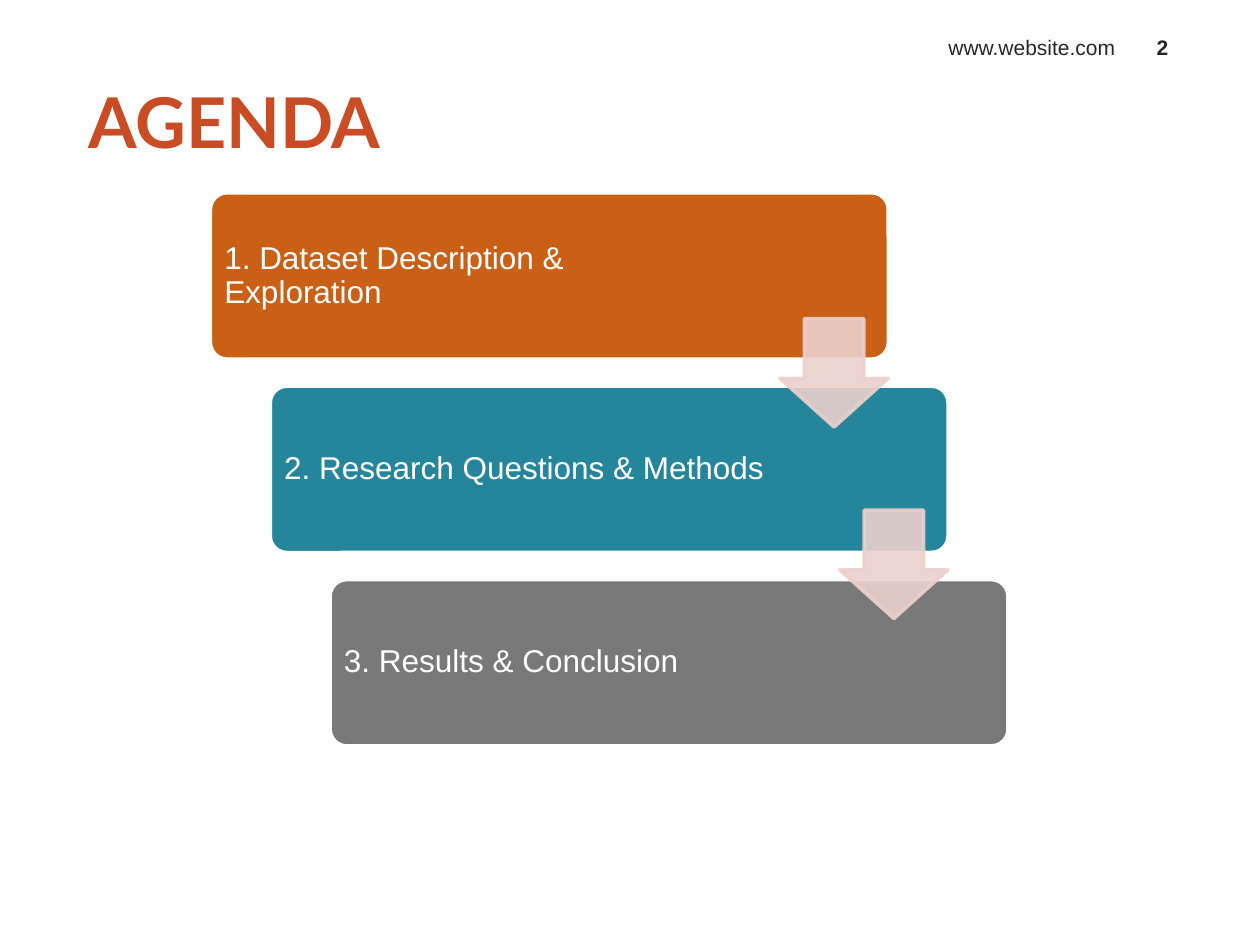
import pptx
import pptx.dml.color
import pptx.enum.shapes
import pptx.enum.text
import pptx.oxml.ns
import pptx.util
from lxml import etree
from pptx.util import Inches

RGBColor = pptx.dml.color.RGBColor
MSO_SHAPE = pptx.enum.shapes.MSO_SHAPE
MSO_ANCHOR = pptx.enum.text.MSO_ANCHOR
PP_ALIGN = pptx.enum.text.PP_ALIGN
qn = pptx.oxml.ns.qn

WHITE = RGBColor(0xFF, 0xFF, 0xFF)
DARK = RGBColor(0x26, 0x26, 0x26)
RED = RGBColor(0xC9, 0x4C, 0x25)
ORANGE = RGBColor(0xC9, 0x60, 0x16)
TEAL = RGBColor(0x25, 0x86, 0x9B)
GRAY = RGBColor(0x79, 0x79, 0x79)
PINK = RGBColor(0xEB, 0xD0, 0xCD)

STEPS = [
    ("1. Dataset Description & Exploration", ORANGE),
    ("2. Research Questions & Methods", TEAL),
    ("3. Results & Conclusion", GRAY),
]
STEP_X, STEP_Y = 0.475, 1.535


def add_block(kind, left, top, width, height, fill, line, adjustments):
    sp = s.shapes.add_shape(kind, Inches(left), Inches(top), Inches(width), Inches(height))
    sp.shadow.inherit = False
    sp.fill.solid()
    sp.fill.fore_color.rgb = fill
    sp.line.color.rgb = line
    sp.line.width = pptx.util.Pt(2)
    for i, value in enumerate(adjustments):
        sp.adjustments[i] = value
    return sp


def add_text(text, left, top, width, height, size, color, anchor):
    sp = s.shapes.add_textbox(Inches(left), Inches(top), Inches(width), Inches(height))
    tf = sp.text_frame
    tf.word_wrap = True
    tf.vertical_anchor = anchor
    p = tf.paragraphs[0]
    p.text = text
    p.font.name = "Arial"
    p.font.size = pptx.util.Pt(size)
    p.font.color.rgb = color
    return tf


prs = pptx.Presentation()
prs.slide_width = Inches(10)
prs.slide_height = Inches(7.5)
s = prs.slides.add_slide(prs.slide_layouts[5])

# Title
title = s.shapes.title
title.left, title.top = Inches(0.5), Inches(0.52)
title.width, title.height = Inches(5.2), Inches(0.87)
tf = title.text_frame
tf.auto_size = pptx.enum.text.MSO_AUTO_SIZE.NONE
tf.vertical_anchor = MSO_ANCHOR.MIDDLE
tf.margin_left, tf.margin_right = Inches(0.2), 0
p = tf.paragraphs[0]
p.text = "AGENDA"
p.alignment = PP_ALIGN.LEFT
p.font.name = "Lato"
p.font.size = pptx.util.Pt(40)
p.font.bold = True
p.font.color.rgb = RED

# Web address and page number
tf = add_text("www.website.com", 6.25, 0.19, 2.7, 0.33, 12, DARK, MSO_ANCHOR.BOTTOM)
tf.paragraphs[0].alignment = PP_ALIGN.RIGHT
tf = add_text("2", 8.95, 0.19, 0.55, 0.33, 12, DARK, MSO_ANCHOR.BOTTOM)
tf.paragraphs[0].alignment = PP_ALIGN.CENTER
tf.paragraphs[0].font.bold = True

# Staircase of steps
for i, (text, color) in enumerate(STEPS):
    left, top = 1.67 + i * STEP_X, 1.53 + i * STEP_Y
    add_block(MSO_SHAPE.ROUNDED_RECTANGLE, left, top, 5.38, 1.32, color, WHITE, [0.1])
    tf = add_text(text, left + 0.04, top + 0.04, 3.98, 1.24, 18, WHITE, MSO_ANCHOR.MIDDLE)
    tf.margin_left = tf.margin_right = tf.margin_top = tf.margin_bottom = Inches(0.07)
    tf.paragraphs[0].line_spacing = 0.9

# Translucent arrows from each step to the next
for i in range(len(STEPS) - 1):
    arrow = add_block(MSO_SHAPE.DOWN_ARROW, 6.19 + i * STEP_X, 2.53 + i * 1.52,
                      0.86, 0.86, PINK, PINK, [0.55, 0.45])
    for clr in arrow.element.spPr.iter(qn("a:srgbClr")):
        etree.SubElement(clr, qn("a:alpha"), val="90000")

prs.save("out.pptx")
